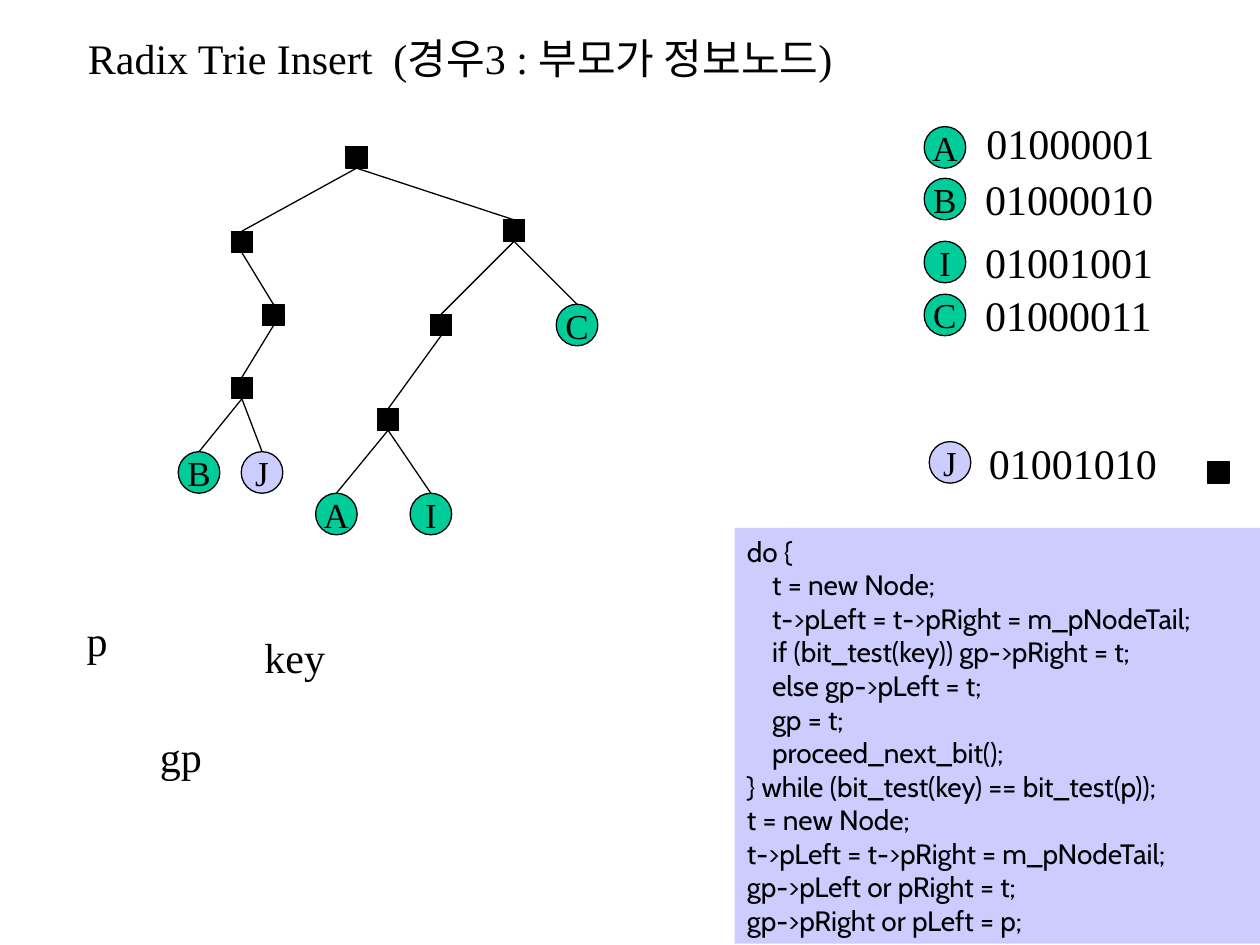
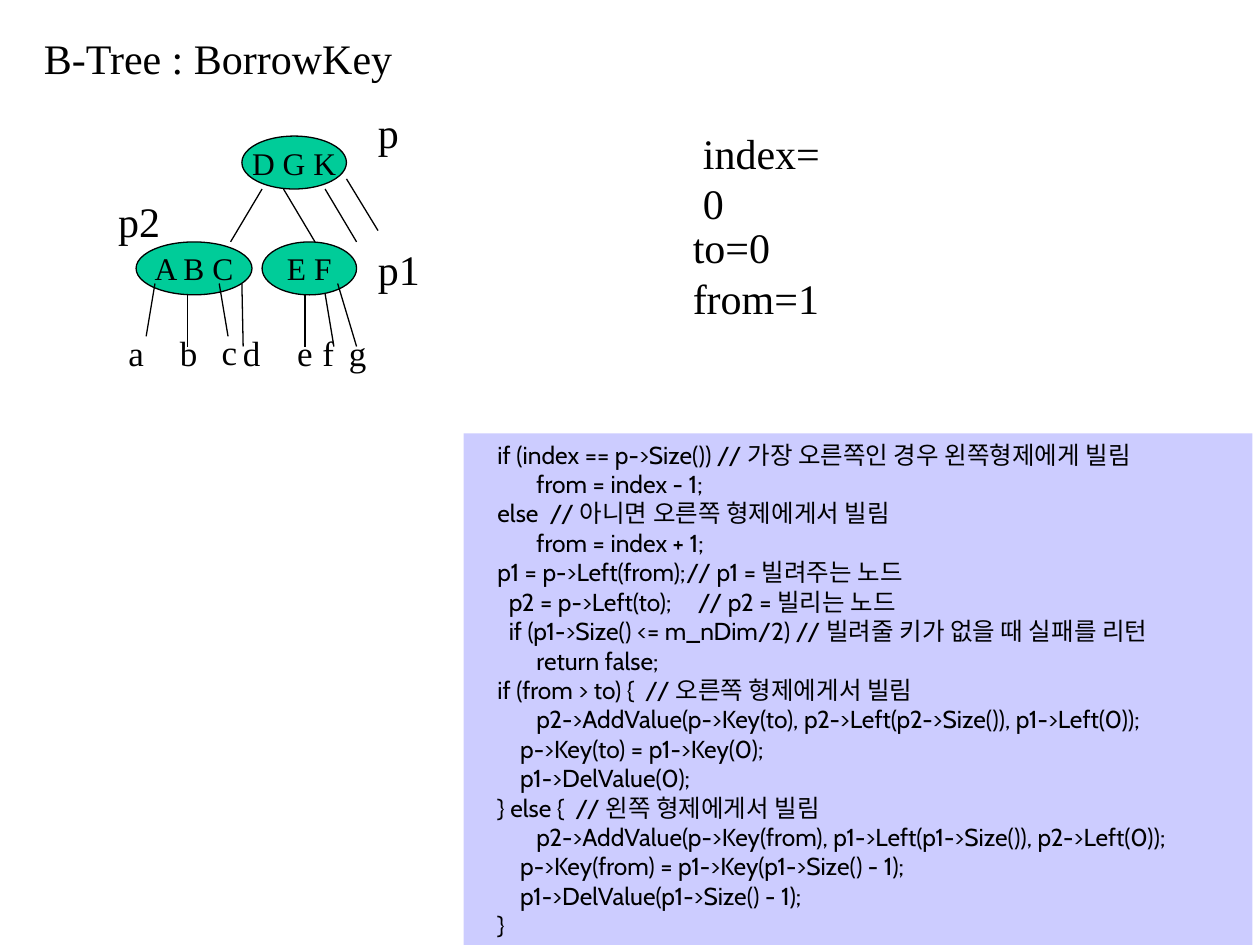
import pptx
import pptx.util
import pptx.dml.color
import pptx.enum.shapes
import pptx.enum.text
import pptx.oxml.ns
from lxml import etree

Inches = pptx.util.Inches
SHAPE = pptx.enum.shapes.MSO_SHAPE
ALIGN = pptx.enum.text.PP_ALIGN
ANCHOR = pptx.enum.text.MSO_ANCHOR
AUTO_SIZE = pptx.enum.text.MSO_AUTO_SIZE

# Shared style
BLACK, GREEN, LILAC = "000000", "00CC99", "CCCCFF"
SERIF, CODE_FONT = "Times New Roman", "Cabin"
LINE_WIDTH = 0.74
SQUARE, CIRCLE = 0.17, 0.33


def rgb(hex_color):
    return pptx.dml.color.RGBColor.from_string(hex_color)


class Deck:
    """Holds the presentation, its style and the current slide."""

    def __init__(self):
        self.prs = pptx.Presentation()
        self.prs.slide_width, self.prs.slide_height = Inches(10), Inches(7.5)

    def new_slide(self, title, left, width):
        self.slide = self.prs.slides.add_slide(self.prs.slide_layouts[6])
        self.label(title, left, 0.21, width)

    def add_text(self, paragraph, text, size, font=SERIF):
        run = paragraph.add_run()
        run.text = text
        run.font.size = pptx.util.Pt(size)
        run.font.name = font
        run.font.color.rgb = rgb(BLACK)

    def label(self, text, left, top, width, height=0.5, size=24):
        box = self.slide.shapes.add_textbox(
            Inches(left), Inches(top), Inches(width), Inches(height))
        frame = box.text_frame
        frame.word_wrap = False
        frame.auto_size = AUTO_SIZE.SHAPE_TO_FIT_TEXT
        for i, line in enumerate(text.split("\n")):
            paragraph = frame.add_paragraph() if i else frame.paragraphs[0]
            self.add_text(paragraph, line, size)

    def shape(self, kind, left, top, width, height, fill, outline=True):
        shape = self.slide.shapes.add_shape(
            kind, Inches(left), Inches(top), Inches(width), Inches(height))
        shape.shadow.inherit = False
        shape.fill.solid()
        shape.fill.fore_color.rgb = rgb(fill)
        if outline:
            shape.line.color.rgb = rgb(BLACK)
            shape.line.width = pptx.util.Pt(LINE_WIDTH)
        else:
            shape.line.fill.background()
        return shape

    def oval(self, text, left, top, width, height, size, fill=GREEN):
        frame = self.shape(SHAPE.OVAL, left, top, width, height, fill).text_frame
        frame.word_wrap = False
        frame.vertical_anchor = ANCHOR.MIDDLE
        frame.paragraphs[0].alignment = ALIGN.CENTER
        self.add_text(frame.paragraphs[0], text, size)

    def node(self, x, y, key=""):
        """Centred tree node: a circle with a key, or a plain black square."""
        side = CIRCLE if key else SQUARE
        left, top = x - side / 2, y - side / 2
        if key:
            self.oval(key, left, top, side, side, 20, LILAC if key == "J" else GREEN)
        else:
            self.shape(SHAPE.RECTANGLE, left, top, side, side, BLACK)

    def line(self, x1, y1, x2, y2):
        link = self.slide.shapes.add_connector(
            pptx.enum.shapes.MSO_CONNECTOR.STRAIGHT,
            Inches(x1), Inches(y1), Inches(x2), Inches(y2))
        link.line.color.rgb = rgb(BLACK)
        link.line.width = pptx.util.Pt(LINE_WIDTH)
        etree.SubElement(link._element.spPr, pptx.oxml.ns.qn("a:effectLst"))

    def code(self, lines, left, top, width, height, size, tab=0):
        """Code panel; each line is (indent, text), a tab jumps to the comment."""
        panel = self.shape(SHAPE.RECTANGLE, left, top, width, height, LILAC, False)
        frame = panel.text_frame
        frame.word_wrap = True
        frame.vertical_anchor = ANCHOR.TOP
        for i, (indent, text) in enumerate(lines):
            paragraph = frame.add_paragraph() if i else frame.paragraphs[0]
            paragraph.alignment = ALIGN.LEFT
            props = paragraph._p.get_or_add_pPr()
            props.set("marL", str(Inches(indent)))
            props.set("indent", "0")
            if "\t" in text:
                stops = etree.SubElement(props, pptx.oxml.ns.qn("a:tabLst"))
                etree.SubElement(stops, pptx.oxml.ns.qn("a:tab"),
                                 pos=str(Inches(tab)), algn="l")
            self.add_text(paragraph, text, size, CODE_FONT)


deck = Deck()

# Slide 1: radix trie insert
deck.new_slide("Radix Trie Insert  (경우3 : 부모가 정보노드)", 0.6, 6.46)

# Key table: key, circle centre, bits position
for key, x, y, bits, bits_left, bits_top in [
        ("A", 7.5, 1.17, "01000001", 7.73, 0.88),
        ("B", 7.5, 1.58, "01000010", 7.72, 1.33),
        ("I", 7.5, 2.08, "01001001", 7.72, 1.83),
        ("C", 7.5, 2.5, "01000011", 7.72, 2.25),
        ("J", 7.54, 3.67, "01001010", 7.75, 3.42)]:
    deck.node(x, y, key)
    deck.label(bits, bits_left, bits_top, 1.53)
deck.node(9.67, 3.75)

# Trie: the name gives the way from the root, single keys are leaves
trie = {
    "root": (2.83, 1.25),
    "left": (1.92, 1.92), "left-right": (2.17, 2.5), "left-right-left": (1.92, 3.08),
    "right": (4.08, 1.83), "right-left": (3.5, 2.58), "right-left-left": (3.08, 3.33),
    "A": (2.67, 4.08), "B": (1.58, 3.75), "C": (4.58, 2.58),
    "I": (3.42, 4.08), "J": (2.08, 3.75),
}
children = {
    "root": ["left", "right"],
    "left": ["left-right"],
    "left-right": ["left-right-left"],
    "left-right-left": ["B", "J"],
    "right": ["right-left", "C"],
    "right-left": ["right-left-left"],
    "right-left-left": ["A", "I"],
}
for name, (x, y) in trie.items():
    deck.node(x, y, name if len(name) == 1 else "")
for parent, names in children.items():
    x, y = trie[parent]
    for name in names:
        child_x, child_y = trie[name]
        child_side = CIRCLE if len(name) == 1 else SQUARE
        deck.line(x, y + SQUARE / 2, child_x, child_y - child_side / 2)

# Pointer names
deck.label("key", 2, 4.96, 0.68)
deck.label("p", 0.59, 4.83, 0.36)
deck.label("gp", 1.17, 5.75, 0.53)

BODY = 0.2
deck.code([
    (0, "do {"),
    (BODY, "t = new Node;"),
    (BODY, "t->pLeft = t->pRight = m_pNodeTail;"),
    (BODY, "if (bit_test(key)) gp->pRight = t;"),
    (BODY, "else gp->pLeft = t;"),
    (BODY, "gp = t;"),
    (BODY, "proceed_next_bit();"),
    (0, "} while (bit_test(key) == bit_test(p));"),
    (0, "t = new Node;"),
    (0, "t->pLeft = t->pRight = m_pNodeTail;"),
    (0, "gp->pLeft or pRight = t;"),
    (0, "gp->pRight or pLeft = p;"),
], 5.83, 4.19, 4.17, 3.3, 16)

# Slide 2: B-tree key borrowing
deck.new_slide("B-Tree : BorrowKey", 0.25, 2.97)

OUTER, SHIFTED, INNER, DEEP = 0.17, 0.26, 0.35, 0.48
deck.code([
    (OUTER, "if (index == p->Size()) // 가장 오른쪽인 경우 왼쪽형제에게 빌림"),
    (DEEP, "from = index - 1;"),
    (OUTER, "else  // 아니면 오른쪽 형제에게서 빌림"),
    (DEEP, "from = index + 1;"),
    (OUTER, "p1 = p->Left(from);\t// p1 = 빌려주는 노드"),
    (SHIFTED, "p2 = p->Left(to);\t// p2 = 빌리는 노드"),
    (SHIFTED, "if (p1->Size() <= m_nDim/2) // 빌려줄 키가 없을 때 실패를 리턴"),
    (DEEP, "return false;"),
    (OUTER, "if (from > to) {  // 오른쪽 형제에게서 빌림"),
    (DEEP, "p2->AddValue(p->Key(to), p2->Left(p2->Size()), p1->Left(0));"),
    (INNER, "p->Key(to) = p1->Key(0);"),
    (INNER, "p1->DelValue(0);"),
    (OUTER, "} else {  // 왼쪽 형제에게서 빌림"),
    (DEEP, "p2->AddValue(p->Key(from), p1->Left(p1->Size()), p2->Left(0));"),
    (INNER, "p->Key(from) = p1->Key(p1->Size() - 1);"),
    (INNER, "p1->DelValue(p1->Size() - 1);"),
    (OUTER, "}"),
], 3.68, 3.44, 6.26, 4.07, 14, tab=1.83)

# Tree nodes
for keys, left, top, width in [
        ("D G K", 1.92, 1.08, 0.83), ("A B C", 1.08, 1.92, 0.92), ("E F", 2.08, 1.92, 0.75)]:
    deck.oval(keys, left, top, width, 0.42, 18)

# Branches of the root, then of the two children
for branch in [
        (2.08, 1.5, 1.83, 1.92), (2.25, 1.5, 2.5, 1.92),
        (2.58, 1.5, 2.83, 1.92), (2.75, 1.42, 3, 1.83),
        (1.23, 2.25, 1.16, 2.67), (1.49, 2.33, 1.49, 2.75),
        (1.74, 2.25, 1.81, 2.67), (1.92, 2.25, 1.93, 2.75),
        (2.42, 2.33, 2.42, 2.75), (2.58, 2.33, 2.65, 2.75),
        (2.68, 2.25, 2.83, 2.75)]:
    deck.line(*branch)

# Subtrees
for subtree, left, top, width in [
        ("a", 0.92, 2.58, 0.32), ("b", 1.33, 2.58, 0.34), ("c", 1.66, 2.57, 0.32),
        ("d", 1.83, 2.58, 0.34), ("e", 2.26, 2.58, 0.32), ("f", 2.46, 2.58, 0.29),
        ("g", 2.67, 2.58, 0.34)]:
    deck.label(subtree, left, top, width, 0.44, 20)

# Pointer names and values
deck.label("p", 2.9, 0.8, 0.36)
deck.label("p1", 2.9, 1.88, 0.53)
deck.label("p2", 0.84, 1.5, 0.53)
deck.label("index=0", 5.48, 0.96, 1.29)
deck.label("to=0\nfrom=1", 5.4, 1.71, 1.2, 0.9)

deck.prs.save("out.pptx")
